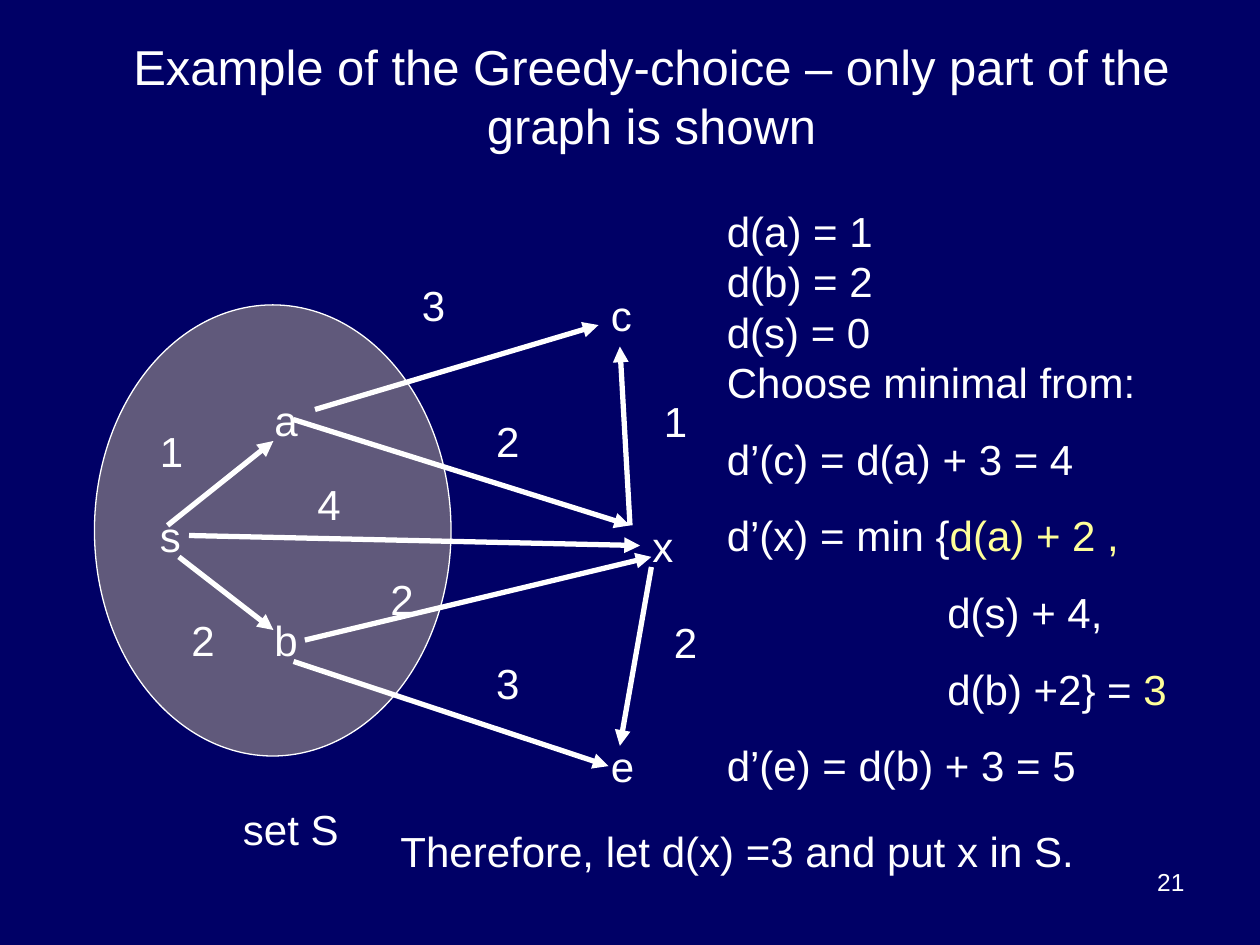
from lxml import etree
from pptx import Presentation
from pptx.dml.color import RGBColor
from pptx.enum.shapes import MSO_CONNECTOR, MSO_SHAPE
from pptx.enum.text import MSO_ANCHOR, MSO_AUTO_SIZE, PP_ALIGN
from pptx.oxml.ns import qn
from pptx.util import Inches, Pt

LEFT, CENTER, RIGHT = PP_ALIGN.LEFT, PP_ALIGN.CENTER, PP_ALIGN.RIGHT
TOP, MIDDLE = MSO_ANCHOR.TOP, MSO_ANCHOR.MIDDLE
FIXED, STRAIGHT, ELLIPSE = MSO_AUTO_SIZE.NONE, MSO_CONNECTOR.STRAIGHT, MSO_SHAPE.OVAL

COLORS = {"background": "000066", "text": "FFFFFF", "accent": "FFFF99", "set": "60597B"}
FONT = "Arial"
LABEL_SIZE = (0.5, 0.5)

TITLE = "Example of the Greedy-choice – only part of the graph is shown"
SET_S = (0.75, 2.42, 2.83, 3.58)

NODES = [
    ("s", 1.17, 4), ("a", 2.08, 3.08), ("b", 2.08, 4.83),
    ("c", 4.75, 2.25), ("x", 5.08, 4.08), ("e", 4.75, 5.83),
]
WEIGHTS = [
    ("1", 1.17, 3.33), ("2", 1.42, 4.83), ("3", 3.25, 2.17),
    ("1", 5.17, 3.09), ("2", 3.84, 3.25), ("4", 2.42, 3.75),
    ("2", 3, 4.5), ("2", 5.25, 4.84), ("3", 3.84, 5.17),
]
EDGES = [
    ((1.33, 4.17), (2.17, 3.5)),
    ((1.42, 4.42), (2.17, 5)),
    ((2.5, 3.25), (4.75, 2.58)),
    ((5, 4.17), (4.92, 2.75)),
    ((2.33, 3.33), (5, 4.17)),
    ((1.5, 4.25), (5.08, 4.33)),
    ((2.42, 5.08), (5.17, 4.42)),
    ((2.33, 5.25), (4.83, 6.08)),
    ((5.17, 4.5), (4.92, 5.92)),
]
DISTANCES = [
    {"runs": [("d(a) = 1", "text")]},
    {"runs": [("d(b) = 2", "text")]},
    {"runs": [("d(s) = 0", "text")]},
    {"runs": [("Choose minimal from:", "text")]},
    {"runs": [("d’(c) = d(a) + 3 = 4", "text")], "before": 15},
    {"runs": [("d’(x) = min {", "text"), ("d(a) + 2 ,", "accent")], "before": 15},
    {"runs": [("d(s) + 4,", "text")], "before": 15, "indent": 1.75},
    {"runs": [("d(b) +2} = ", "text"), ("3", "accent")], "before": 15, "indent": 1.75},
    {"runs": [("d’(e) = d(b) + 3 = 5", "text")], "before": 15},
]


def rgb(name):
    return RGBColor.from_string(COLORS[name])


def plain(text):
    return [{"runs": [(text, "text")]}]


def write(holder, paragraphs, size=24, align=LEFT, anchor=TOP):
    frame = holder.text_frame
    frame.word_wrap = True
    frame.auto_size = FIXED
    frame.vertical_anchor = anchor
    for index, content in enumerate(paragraphs):
        paragraph = frame.add_paragraph() if index else frame.paragraphs[0]
        paragraph.alignment = align
        paragraph.space_before = Pt(content.get("before", 0))
        if "indent" in content:
            paragraph._p.get_or_add_pPr().set("marL", str(Inches(content["indent"])))
        for text, color in content["runs"]:
            run = paragraph.add_run()
            run.text = text
            run.font.size = Pt(size)
            run.font.name = FONT
            run.font.color.rgb = rgb(color)


def add_text(slide, box, paragraphs, **style):
    write(slide.shapes.add_textbox(*map(Inches, box)), paragraphs, **style)


def add_arrow(slide, start, end):
    arrow = slide.shapes.add_connector(STRAIGHT, *map(Inches, start + end))
    arrow.line.color.rgb = rgb("text")
    arrow.line.width = Pt(3)
    etree.SubElement(arrow.line._get_or_add_ln(), qn("a:tailEnd"), type="triangle")
    etree.SubElement(arrow._element.spPr, qn("a:effectLst"))


def main():
    deck = Presentation()
    deck.slide_width, deck.slide_height = Inches(10), Inches(7.5)
    slide = deck.slides.add_slide(deck.slide_layouts[5])
    slide.background.fill.solid()
    slide.background.fill.fore_color.rgb = rgb("background")

    title = slide.shapes.title
    title.left, title.top, title.width, title.height = map(Inches, (0.67, 0.42, 9, 0.67))
    write(title, plain(TITLE), size=28, align=CENTER, anchor=MIDDLE)

    set_s = slide.shapes.add_shape(ELLIPSE, *map(Inches, SET_S))
    set_s.shadow.inherit = False
    set_s.fill.solid()
    set_s.fill.fore_color.rgb = rgb("set")
    set_s.line.color.rgb = rgb("text")
    set_s.line.width = Pt(0.75)

    for label, left, top in NODES + WEIGHTS:
        add_text(slide, (left, top, *LABEL_SIZE), plain(label))
    for start, end in EDGES:
        add_arrow(slide, start, end)

    add_text(slide, (1.83, 6.33, 1.25, 0.5), plain("set S"))
    add_text(slide, (5.67, 1.58, 4.08, 4.74), DISTANCES)
    add_text(slide, (3.08, 6.5, 5.58, 0.5), plain("Therefore, let d(x) =3 and put x in S."))
    add_text(slide, (7.17, 6.83, 2.33, 0.52), plain("21"), size=14, align=RIGHT)
    deck.save("out.pptx")


if __name__ == "__main__":
    main()
